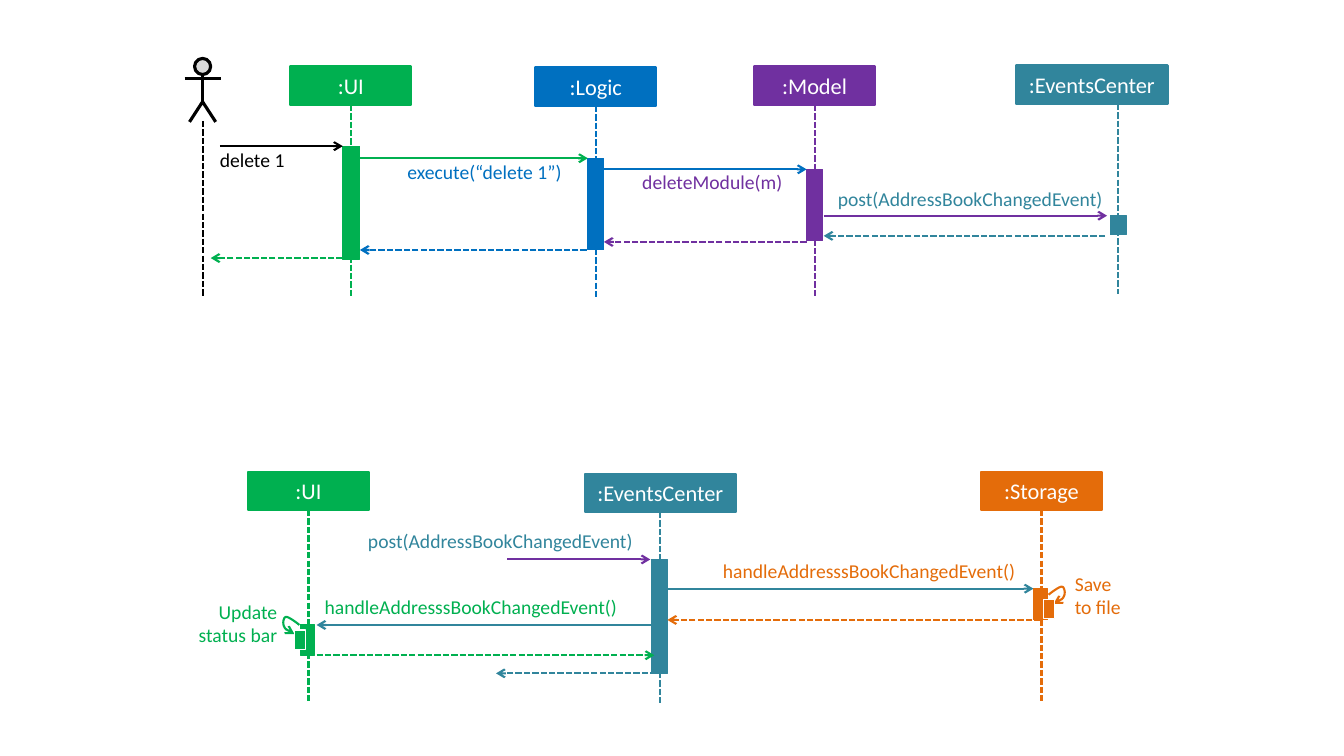
from lxml import etree
from pptx import Presentation
from pptx.dml.color import RGBColor
from pptx.enum.dml import MSO_LINE
from pptx.enum.shapes import MSO_CONNECTOR, MSO_SHAPE
from pptx.enum.text import MSO_ANCHOR, PP_ALIGN
from pptx.oxml.ns import qn
from pptx.util import Inches, Pt

STRAIGHT = MSO_CONNECTOR.STRAIGHT
RECTANGLE = MSO_SHAPE.RECTANGLE
HEAD_CIRCLE = MSO_SHAPE.FLOWCHART_CONNECTOR
DASH = MSO_LINE.SQUARE_DOT
MIDDLE = MSO_ANCHOR.MIDDLE
LEFT, CENTER, RIGHT = PP_ALIGN.LEFT, PP_ALIGN.CENTER, PP_ALIGN.RIGHT
BOTTOM_SIDE = 2

BLACK, WHITE, GREY = "000000", "FFFFFF", "D9D9D9"
GREEN, BLUE, PURPLE = "00B050", "0070C0", "7030A0"
TEAL, ORANGE = "31859C", "E46C0A"
FONT = "Calibri"
HEADER_HEIGHT = 0.38

prs = Presentation()
prs.slide_width, prs.slide_height = Inches(13.33), Inches(7.5)
slide = prs.slides.add_slide(prs.slide_layouts[6])
shapes = slide.shapes


def style_line(shape, color, width=1.5, dashed=False, arrow=False):
    """Set the stroke, drop the shadow and put an arrowhead at the end."""
    shape.line.color.rgb = RGBColor.from_string(color)
    shape.line.width = Pt(width)
    if dashed:
        shape.line.dash_style = DASH
    properties = shape._element.spPr
    if arrow:
        etree.SubElement(properties.find(qn("a:ln")), qn("a:tailEnd"), type="arrow")
    etree.SubElement(properties, qn("a:effectLst"))


def add_block(left, top, width, height, fill, outline, line_width=0.75, kind=RECTANGLE):
    block = shapes.add_shape(kind, Inches(left), Inches(top), Inches(width), Inches(height))
    block.fill.solid()
    block.fill.fore_color.rgb = RGBColor.from_string(fill)
    style_line(block, outline, line_width)
    return block


# Participants: name, colour, header left, top, width, lifeline x, lifeline end
participants = [
    (":UI", GREEN, 2.88, 0.66, 1.2, 3.48, 2.95),
    (":Logic", BLUE, 5.31, 0.67, 1.2, 5.91, 2.95),
    (":Model", PURPLE, 7.48, 0.66, 1.2, 8.08, 2.95),
    (":EventsCenter", TEAL, 10.08, 0.65, 1.5, 11.09, 2.92),
    (":UI", GREEN, 2.46, 4.68, 1.2, 3.06, 6.96),
    (":EventsCenter", TEAL, 5.8, 4.7, 1.5, 6.55, 6.97),
    (":Storage", ORANGE, 9.73, 4.68, 1.2, 10.33, 6.96),
]
for name, color, left, top, width, life_x, life_end in participants:
    header = add_block(left, top, width, HEADER_HEIGHT, color, color, 1.5)
    header.text_frame.text = name
    header.text_frame.vertical_anchor = MIDDLE
    label = header.text_frame.paragraphs[0]
    label.alignment = CENTER
    label.font.name, label.font.size = FONT, Pt(16)
    label.font.color.rgb = RGBColor.from_string(WHITE)

    lifeline = shapes.add_connector(STRAIGHT, Inches(life_x), Inches(top + HEADER_HEIGHT),
                                    Inches(life_x), Inches(life_end))
    if abs(left + width / 2 - life_x) < 0.01:
        lifeline.begin_connect(header, BOTTOM_SIDE)
    style_line(lifeline, color, dashed=True)

# Activation bars: left, top, width, height, colour
activations = [
    (3.4, 1.45, 0.17, 1.12, GREEN),
    (5.83, 1.57, 0.16, 0.91, BLUE),
    (8, 1.68, 0.16, 0.71, PURPLE),
    (11.01, 2.14, 0.16, 0.19, TEAL),
    (2.98, 6.2, 0.14, 0.3, GREEN),
    (6.46, 5.55, 0.16, 1.13, TEAL),
    (10.25, 5.84, 0.14, 0.31, ORANGE),
]
for left, top, width, height, color in activations:
    add_block(left, top, width, height, color, color)

# User: stick figure with its own lifeline
add_block(1.93, 0.58, 0.16, 0.16, GREY, BLACK, 2.25, HEAD_CIRCLE)
figure_lines = [
    (2.01, 0.74, 2.01, 1.02, 2.25, False),
    (1.83, 0.78, 2.19, 0.78, 2.25, False),
    (2.01, 1.2, 2.01, 2.95, 1.5, True),
]
for x1, y1, x2, y2, width, dashed in figure_lines:
    limb = shapes.add_connector(STRAIGHT, Inches(x1), Inches(y1), Inches(x2), Inches(y2))
    style_line(limb, BLACK, width, dashed)
legs_path = shapes.build_freeform(Inches(1.88), Inches(1.21))
legs_path.add_line_segments([(Inches(2.01), Inches(1.01)), (Inches(2.14), Inches(1.21))], close=False)
legs = legs_path.convert_to_shape()
legs.fill.background()
style_line(legs, BLACK, 2.25)

# Messages: start x, end x, y, colour, is a return
messages = [
    (2.18, 3.4, 1.45, BLACK, False),
    (3.57, 5.83, 1.57, GREEN, False),
    (5.99, 8, 1.68, BLUE, False),
    (8.17, 10.98, 2.14, PURPLE, False),
    (10.96, 8.17, 2.34, TEAL, True),
    (8, 5.99, 2.4, PURPLE, True),
    (5.82, 3.57, 2.48, BLUE, True),
    (3.4, 2.09, 2.56, GREEN, True),
    (5.03, 6.45, 5.55, PURPLE, False),
    (6.62, 10.25, 5.84, TEAL, False),
    (10.32, 6.62, 6.15, ORANGE, True),
    (6.49, 3.14, 6.2, TEAL, False),
    (3.14, 6.49, 6.5, GREEN, True),
    (6.51, 4.92, 6.68, TEAL, True),
]
for start, end, y, color, is_return in messages:
    message = shapes.add_connector(STRAIGHT, Inches(start), Inches(y), Inches(end), Inches(y))
    style_line(message, color, dashed=is_return, arrow=True)

# Self calls: the Storage loop mirrors the UI loop
loop_curve = [(2.97, 6.2), (2.92, 6.16), (2.86, 6.12), (2.84, 6.12), (2.81, 6.12),
              (2.8, 6.19), (2.82, 6.22), (2.83, 6.25), (2.88, 6.27), (2.92, 6.29)]
STEPS = 8
loop_points = [loop_curve[0]]
for first in range(0, len(loop_curve) - 1, 3):
    controls = loop_curve[first:first + 4]
    for step in range(1, STEPS + 1):
        t = step / STEPS
        weights = ((1 - t) ** 3, 3 * t * (1 - t) ** 2, 3 * t * t * (1 - t), t ** 3)
        loop_points.append(tuple(sum(w * point[axis] for w, point in zip(weights, controls))
                                 for axis in (0, 1)))

self_calls = [(GREEN, 0, 1, 0, 2.92, 6.25), (ORANGE, 13.37, -1, -0.3, 10.35, 5.95)]
for color, shift_x, direction, shift_y, bar_left, bar_top in self_calls:
    placed = [(Inches(shift_x + direction * x), Inches(y + shift_y)) for x, y in loop_points]
    loop_path = shapes.build_freeform(*placed[0])
    loop_path.add_line_segments(placed[1:], close=False)
    loop = loop_path.convert_to_shape()
    loop.fill.background()
    style_line(loop, color, arrow=True)
    add_block(bar_left, bar_top, 0.11, 0.19, color, WHITE)

# Captions: text, left, top, width, height, colour, alignment
captions = [
    ("delete 1", 2.18, 1.47, 0.94, 0.24, BLACK, LEFT),
    ("execute(“delete 1”)", 4.04, 1.59, 1.56, 0.24, BLUE, LEFT),
    ("deleteModule(m)", 6.37, 1.69, 1.56, 0.24, PURPLE, LEFT),
    ("post(AddressBookChangedEvent)", 8.31, 1.85, 2.67, 0.24, TEAL, LEFT),
    ("post(AddressBookChangedEvent)", 3.65, 5.25, 2.97, 0.24, TEAL, LEFT),
    ("handleAddresssBookChangedEvent()", 7.17, 5.54, 2.95, 0.24, ORANGE, LEFT),
    ("handleAddresssBookChangedEvent()", 3.22, 5.9, 2.95, 0.24, GREEN, LEFT),
    ("Update status bar", 1.88, 5.95, 0.87, 0.47, GREEN, RIGHT),
    ("Save\vto file", 10.66, 5.67, 0.59, 0.47, ORANGE, LEFT),
]
for text, left, top, width, height, color, alignment in captions:
    caption = shapes.add_textbox(Inches(left), Inches(top), Inches(width), Inches(height))
    frame = caption.text_frame
    frame.word_wrap = True
    frame.margin_left = frame.margin_right = frame.margin_top = frame.margin_bottom = 0
    frame.text = text
    paragraph = frame.paragraphs[0]
    paragraph.alignment = alignment
    paragraph.font.name, paragraph.font.size = FONT, Pt(14)
    paragraph.font.color.rgb = RGBColor.from_string(color)

prs.save("out.pptx")
